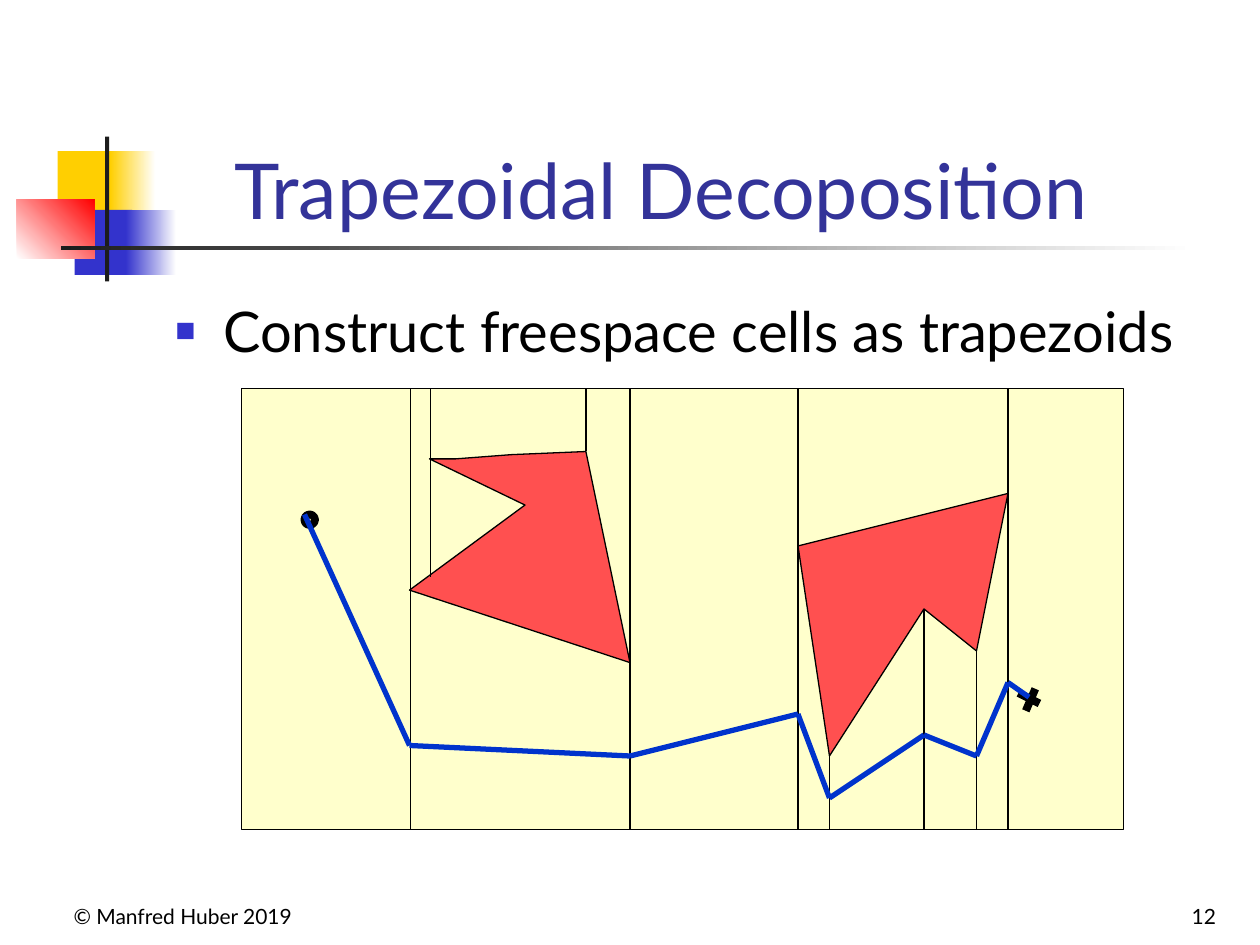
"""Build the trapezoidal decomposition slide on a grid of 120 columns by 90 rows."""
from itertools import pairwise

from lxml.etree import SubElement
from pptx import Presentation
from pptx.dml.color import RGBColor
from pptx.enum.shapes import MSO_CONNECTOR as Connector, MSO_SHAPE as Shape
from pptx.enum.text import MSO_ANCHOR as Anchor, MSO_AUTO_SIZE as AutoSize, PP_ALIGN as Align
from pptx.oxml.ns import qn
from pptx.util import Inches, Pt

WIDTH, HEIGHT = Inches(10), Inches(7.5)
COLUMNS = 120
FONT = "Lato"
BLACK = RGBColor(0, 0, 0)
WHITE = RGBColor(255, 255, 255)
CHARCOAL = RGBColor(0x1C, 0x1C, 0x1C)
YELLOW = RGBColor(0xFF, 0xCF, 0x01)
BLUE = RGBColor(0x33, 0x33, 0xCC)
RED = RGBColor(255, 0, 0)
TITLE_BLUE = RGBColor(0x33, 0x33, 0x99)
FREESPACE = RGBColor(0xFF, 0xFF, 0xCC)
OBSTACLE = RGBColor(0xFF, 0x50, 0x50)
ROUTE_BLUE = RGBColor(0, 0x33, 0xCC)

TITLE = "Trapezoidal Decoposition"
POINT = "Construct freespace cells as trapezoids"
FOOTERS = [("© Manfred Huber 2019", (4, 83, 25, 6)), ("12", (89, 83, 28, 6))]

ORNAMENTS = [
    ((5.5, 14.4, 5.8, 6.2), (YELLOW,), 0),
    ((10.5, 14.4, 4.3, 6.2), (YELLOW, WHITE), 0),
    ((7.1, 20, 5.5, 6.2), (BLUE,), 0),
    ((12, 20, 4.8, 6.2), (BLUE, WHITE), 0),
    ((1.6, 19, 7.4, 5.6), (WHITE, RED), 45),
    ((10, 13, 0.4, 13.8), (CHARCOAL,), 0),
    ((5.8, 23.4, 108, 0.4), (CHARCOAL, WHITE), 0),
]

TOP, BOTTOM = 37, 79
ROOM = (23, TOP, 84, BOTTOM - TOP)
START = (29, 49, 1, 1)
OBSTACLES = [
    [(55.8, 43), (48.7, 43.3), (43.4, 43.7), (40.9, 43.7), (50, 48.1), (39, 56.2), (60, 63.1)],
    [(76, 52), (79, 72), (88, 58), (93, 62), (96, 47)],
]
GOAL_CROSS = [((97, 66), (99, 67)), ((97.7, 67.7), (98.6, 65.6))]
WALLS = [
    (39.1, TOP, BOTTOM), (41, TOP, 55), (55.8, TOP, 43), (60, TOP, BOTTOM), (76, TOP, BOTTOM),
    (79, 72, BOTTOM), (88, 58, BOTTOM), (93, 62, BOTTOM), (96, TOP, BOTTOM),
]
ROUTE = [(29, 49), (39, 71), (60, 72), (76, 68), (79, 76), (88, 70), (93, 72), (96, 65), (98, 66.4)]


def grid(*lengths):
    return [round(length * WIDTH / COLUMNS) for length in lengths]


def write(holder, text, box, size, color=BLACK, align=Align.LEFT, anchor=Anchor.TOP):
    holder.left, holder.top, holder.width, holder.height = grid(*box)
    frame = holder.text_frame
    frame.auto_size, frame.word_wrap, frame.vertical_anchor = AutoSize.NONE, True, anchor
    paragraph = frame.paragraphs[0]
    paragraph.alignment = align
    run = paragraph.add_run()
    run.text = text
    run.font.name, run.font.size, run.font.color.rgb = FONT, Pt(size), color
    return paragraph


def add_bullet(paragraph, mark, color, percent):
    props = paragraph._p.get_or_add_pPr()
    props.set("marL", str(Inches(0.38)))
    props.set("indent", str(-Inches(0.38)))
    SubElement(SubElement(props, qn("a:buClr")), qn("a:srgbClr")).set("val", str(color))
    SubElement(props, qn("a:buSzPct")).set("val", str(percent * 1000))
    SubElement(props, qn("a:buChar")).set("char", mark)


def paint(shape, colors, angle=0, outline=None):
    shape.shadow.inherit = False
    if len(colors) == 1:
        shape.fill.solid()
        shape.fill.fore_color.rgb = colors[0]
    else:
        shape.fill.gradient()
        shape.fill.gradient_angle = angle
        for stop, color in zip(shape.fill.gradient_stops, colors):
            stop.color.rgb = color
    if outline:
        shape.line.color.rgb, shape.line.width = BLACK, Pt(outline)
    else:
        shape.line.fill.background()


def draw_line(shapes, start, end, color=BLACK, weight=0.75):
    segment = shapes.add_connector(Connector.STRAIGHT, *grid(*start, *end))
    segment.line.color.rgb, segment.line.width = color, Pt(weight)
    SubElement(segment._element.spPr, qn("a:effectLst"))


def main():
    deck = Presentation()
    deck.slide_width, deck.slide_height = WIDTH, HEIGHT
    slide = deck.slides.add_slide(deck.slide_layouts[1])
    shapes = slide.shapes

    write(shapes.title, TITLE, (17, 8, 92, 15), 44, TITLE_BLUE, Align.CENTER, Anchor.BOTTOM)
    point = write(slide.placeholders[1], POINT, (15.5, 27, 102, 21), 32)
    point.line_spacing, point.space_before = 1.1, Pt(8)
    add_bullet(point, "■", BLUE, 60)
    for text, box in FOOTERS:
        write(shapes.add_textbox(*grid(*box)), text, box, 12, align=Align.RIGHT, anchor=Anchor.BOTTOM)

    for box, colors, angle in ORNAMENTS:
        paint(shapes.add_shape(Shape.RECTANGLE, *grid(*box)), colors, angle)

    paint(shapes.add_shape(Shape.RECTANGLE, *grid(*ROOM)), (FREESPACE,), outline=0.75)
    for corners in OBSTACLES:
        first, *others = [grid(*corner) for corner in corners]
        outline = shapes.build_freeform(*first)
        outline.add_line_segments(others, close=True)
        paint(outline.convert_to_shape(), (OBSTACLE,), outline=0.75)
    paint(shapes.add_shape(Shape.OVAL, *grid(*START)), (FREESPACE,), outline=4.5)
    for start, end in GOAL_CROSS:
        draw_line(shapes, start, end, weight=4.5)
    for column, upper, lower in WALLS:
        draw_line(shapes, (column, upper), (column, lower))
    for start, end in pairwise(ROUTE):
        draw_line(shapes, start, end, ROUTE_BLUE, 3)

    deck.save("out.pptx")


if __name__ == "__main__":
    main()
